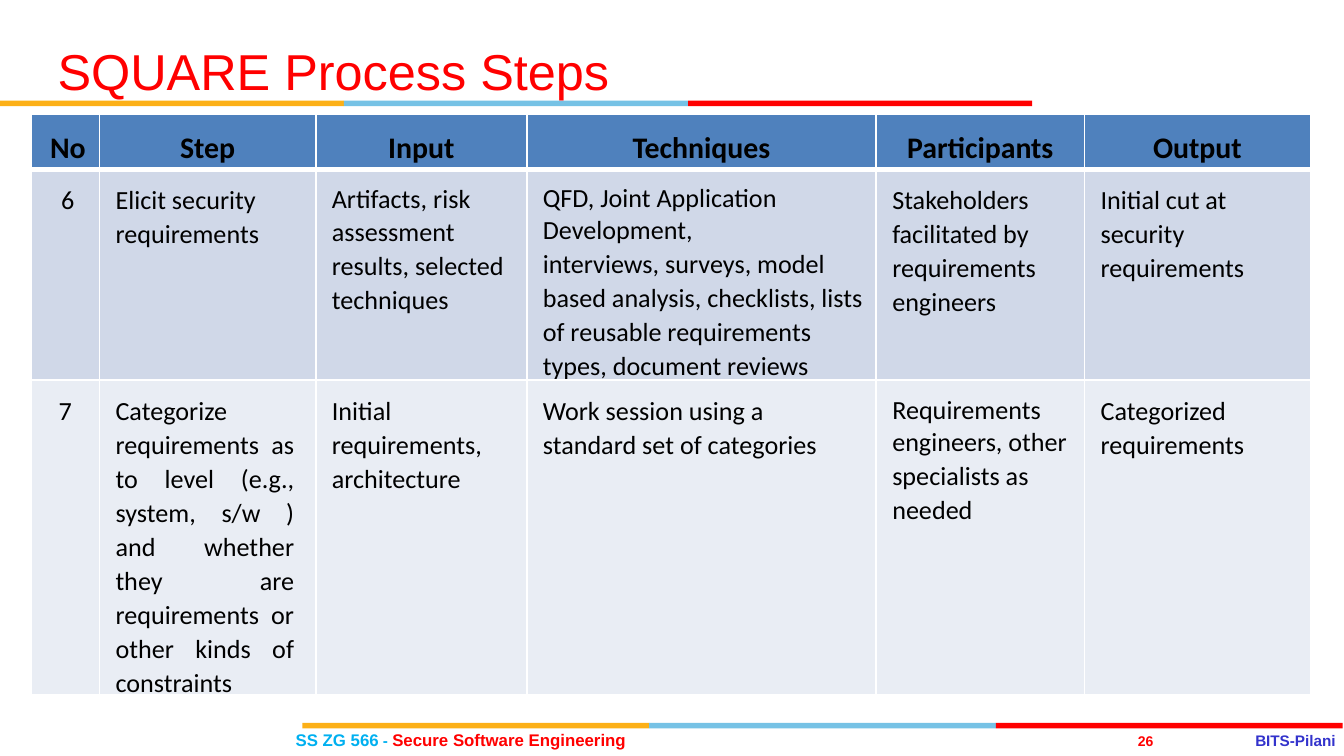
"""Build the SQUARE process steps slide with its table and striped rules."""
from lxml.etree import SubElement
from pptx import Presentation
from pptx.dml.color import RGBColor
from pptx.enum.shapes import MSO_SHAPE as Shape
from pptx.enum.text import MSO_ANCHOR as Anchor, PP_ALIGN as Align
from pptx.oxml.ns import qn
from pptx.util import Inches, Pt

COLORS = {
    "red": "FF0000", "amber": "FCB017", "sky": "76C2E5", "cyan": "00B0F0",
    "indigo": "3333CC", "black": "000000", "white": "FFFFFF",
    "header": "4F81BD", "band": "D0D8E8", "light": "E9EDF4",
}


def add_text(paragraph, text, size=14, font="Calibri", color="black", bold=False, align=Align.LEFT, spacing=None):
    paragraph.alignment = align
    if spacing:
        paragraph.line_spacing = spacing
    run = paragraph.add_run()
    run.text = text
    run.font.size = Pt(size)
    run.font.name = font
    run.font.bold = bold
    run.font.color.rgb = RGBColor.from_string(COLORS[color])


def add_box(slide, left, top, width, height, inset=0):
    frame = slide.shapes.add_textbox(left, top, width, height).text_frame
    frame.word_wrap = True
    frame.vertical_anchor = Anchor.MIDDLE
    frame.margin_left = frame.margin_right = inset
    frame.margin_top = frame.margin_bottom = 0
    return frame.paragraphs[0]


presentation = Presentation()
presentation.slide_width = Inches(10)
presentation.slide_height = presentation.slide_width * 9 // 16
slide = presentation.slides.add_slide(presentation.slide_layouts[6])
column = Inches(0.1)
row = Inches(0.1)

for left, top, width in ((0, 7.5, 25.6), (22.5, 53.8, 25.8)):
    for index, color in enumerate(("amber", "sky", "red")):
        stripe = slide.shapes.add_shape(
            Shape.RECTANGLE, int((left + index * width) * column), int(top * row),
            int(width * column), int(0.4 * row))
        stripe.shadow.inherit = False
        stripe.fill.solid()
        stripe.fill.fore_color.rgb = RGBColor.from_string(COLORS[color])
        stripe.line.fill.background()

brand = add_box(slide, int(93.4 * column), int(54.4 * row), int(6.4 * column), int(1.4 * row))
add_text(brand, "BITS-Pilani", size=8.2, font="Arial", color="indigo", bold=True, align=Align.JUSTIFY)
number = add_box(slide, 84 * column, int(54.5 * row), int(2.5 * column), int(1.3 * row))
add_text(number, "26", size=7.5, font="Arial", color="red", bold=True, align=Align.CENTER)
course = add_box(slide, 22 * column, int(54.3 * row), int(27.6 * column), int(1.5 * row))
for text, size, color in (("SS ZG 566", 9, "cyan"), (" - ", 8.2, "cyan"), ("Secure Software Engineering", 9, "red")):
    add_text(course, text, size=size, font="Arial", color=color, bold=True)

cell_texts = (
    ("No", "Step", "Input", "Techniques", "Participants", "Output"),
    ("6", "Elicit security requirements",
     "Artifacts, risk assessment\nresults, selected techniques",
     "QFD, Joint Application Development,\ninterviews, surveys, model based analysis, checklists, "
     "lists of reusable requirements types, document reviews",
     "Stakeholders facilitated by requirements engineers",
     "Initial cut at security requirements"),
    ("7", "Categorize requirements as to level (e.g., system, s/w ) and whether they are "
     "requirements or other kinds of constraints",
     "Initial requirements, architecture",
     "Work session using a standard set of categories",
     "Requirements engineers, other\nspecialists as\nneeded",
     "Categorized requirements"),
)
column_widths = (5.1, 16.1, 15.7, 26, 15.5, 16.8)
row_heights = (4.1, 15.6, 23.4)
row_fills = ("header", "band", "light")
first_line_spacing = {(1, 2): 1.03, (1, 3): 1.0, (2, 4): 1.03}

table = slide.shapes.add_table(
    len(row_heights), len(column_widths), int(2.3 * column), int(8.5 * row),
    int(sum(column_widths) * column), int(sum(row_heights) * row)).table
table.horz_banding = False
for index, width in enumerate(column_widths):
    table.columns[index].width = int(width * column)

for row_index, texts in enumerate(cell_texts):
    table.rows[row_index].height = int(row_heights[row_index] * row)
    is_header = row_index == 0
    for column_index, text in enumerate(texts):
        cell = table.cell(row_index, column_index)
        is_justified = (row_index, column_index) == (2, 1)
        cell.vertical_anchor = Anchor.MIDDLE if is_header or is_justified else Anchor.TOP
        cell.margin_left = Inches(0.12)
        cell.margin_top = Inches(0.1)
        is_wide_margin = row_index == 2 or (is_header and column_index > 0)
        cell.margin_right = Inches(0.16 if is_justified else 0.12 if is_wide_margin else 0.08)
        cell.margin_bottom = 0
        properties = cell._tc.get_or_add_tcPr()
        for side in "LRTB":
            is_thick = (row_index, side) in ((0, "B"), (1, "T"))
            border = SubElement(properties, qn(f"a:ln{side}"), w=str(Pt(3 if is_thick else 1)))
            SubElement(SubElement(border, qn("a:solidFill")), qn("a:srgbClr"), val=COLORS["white"])
        cell.fill.solid()
        cell.fill.fore_color.rgb = RGBColor.from_string(COLORS[row_fills[row_index]])

        align = Align.CENTER if is_header or column_index == 0 else Align.LEFT
        if is_justified:
            align = Align.JUSTIFY
        frame = cell.text_frame
        for line_index, line in enumerate(text.split("\n")):
            paragraph = frame.add_paragraph() if line_index else frame.paragraphs[0]
            spacing = 1.07
            if line_index == 0:
                spacing = first_line_spacing.get((row_index, column_index), spacing)
            add_text(paragraph, line, size=16 if is_header else 14, bold=is_header,
                     align=align, spacing=None if is_header else spacing)

title = add_box(slide, int(3.3 * column), int(2.7 * row), int(69.2 * column), int(5.8 * row), inset=column)
add_text(title, "SQUARE Process Steps", size=27, font="Arial", color="red", spacing=Pt(27))

presentation.save("out.pptx")
